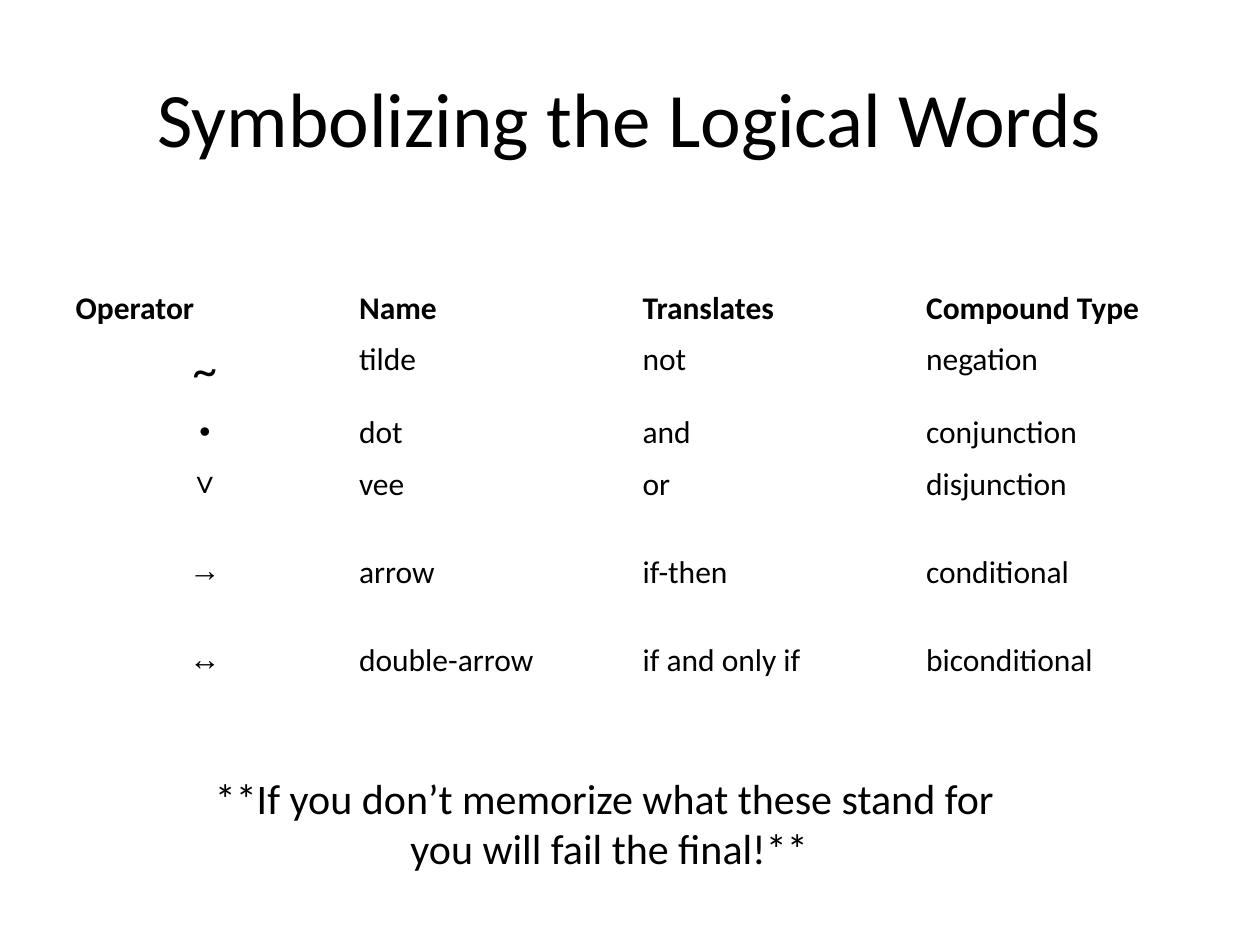
import pptx
import pptx.util
import pptx.dml.color
import pptx.enum.text
import pptx.oxml.ns
from lxml import etree

Inches = pptx.util.Inches
ALIGN = pptx.enum.text.PP_ALIGN
ANCHOR = pptx.enum.text.MSO_ANCHOR

COLORS = {"text": "000000", "paper": "FFFFFF"}
HEADERS = ["Operator", "Name", "Translates", "Compound Type"]
OPERATORS = [
    ("~", "tilde", "not", "negation"),
    ("•", "dot", "and", "conjunction"),
    ("∨", "vee", "or", "disjunction"),
    ("→", "arrow", "if-then", "conditional"),
    ("↔", "double-arrow", "if and only if", "biconditional"),
]
ROW_HEIGHTS = [0.4, 0.58, 0.4, 0.7, 0.7, 0.7]
THIN, THICK = 0.45, 1.47


def add_run(paragraph, text, size, font="Calibri", bold=False):
    """Append one formatted run to a paragraph."""
    run = paragraph.add_run()
    run.text = text
    run.font.name = font
    run.font.size = pptx.util.Pt(size)
    run.font.bold = bold
    run.font.color.rgb = pptx.dml.color.RGBColor.from_string(COLORS["text"])


def add_centered_text(slide, box, lines, size, anchor):
    """Place centred lines of text in a box, one paragraph each."""
    shape = slide.shapes.add_textbox(*map(Inches, box))
    frame = shape.text_frame
    frame.word_wrap = True
    frame.vertical_anchor = anchor
    for index, line in enumerate(lines):
        paragraph = frame.add_paragraph() if index else frame.paragraphs[0]
        paragraph.alignment = ALIGN.CENTER
        add_run(paragraph, line, size)


def set_borders(cell, widths):
    """Draw cell borders from a mapping of side letters to point widths."""
    properties = cell._tc.get_or_add_tcPr()
    qn = pptx.oxml.ns.qn
    for side, width in widths.items():
        line = etree.SubElement(properties, qn(f"a:ln{side}"), w=str(pptx.util.Pt(width)))
        fill = etree.SubElement(line, qn("a:solidFill"))
        etree.SubElement(fill, qn("a:srgbClr"), val=COLORS["paper"])


def style_cell(cell, row):
    """Give a cell its borders and fill."""
    set_borders(cell, {
        "L": THIN,
        "R": THIN,
        "T": THICK if row == 1 else THIN,
        "B": THICK if row == 0 else THIN,
    })
    cell.fill.solid()
    cell.fill.fore_color.rgb = pptx.dml.color.RGBColor.from_string(COLORS["paper"])


def add_operator_table(slide, box):
    """Place the table of logical operators in a box."""
    rows = [HEADERS, *OPERATORS]
    shape = slide.shapes.add_table(len(rows), len(HEADERS), *map(Inches, box))
    table = shape.table
    for column in table.columns:
        column.width = Inches(box[2] / len(HEADERS))
    for row, (height, texts) in enumerate(zip(ROW_HEIGHTS, rows)):
        table.rows[row].height = Inches(height)
        for column, text in enumerate(texts):
            cell = table.cell(row, column)
            style_cell(cell, row)
            paragraph = cell.text_frame.paragraphs[0]
            is_symbol = row > 0 and column == 0
            paragraph.alignment = ALIGN.CENTER if is_symbol else ALIGN.LEFT
            size = 28 if text == "~" else 18
            font = "Arial" if is_symbol and text != "~" else "Calibri"
            add_run(paragraph, text, size, font, bold=row == 0)


def main():
    """Build the slide and save it."""
    presentation = pptx.Presentation()
    presentation.slide_width = Inches(10)
    presentation.slide_height = Inches(7.5)
    slide = presentation.slides.add_slide(presentation.slide_layouts[6])
    add_operator_table(slide, (0.5, 2.25, 9, 3.48))
    add_centered_text(slide, (0.5, 0.3, 9, 1.25),
                      ["Symbolizing the Logical Words"], 44, ANCHOR.MIDDLE)
    add_centered_text(slide, (0.75, 6.08, 8.17, 0.9),
                      ["**If you don’t memorize what these stand for ",
                       "you will fail the final!**"], 24, ANCHOR.TOP)
    presentation.save("out.pptx")


if __name__ == "__main__":
    main()
